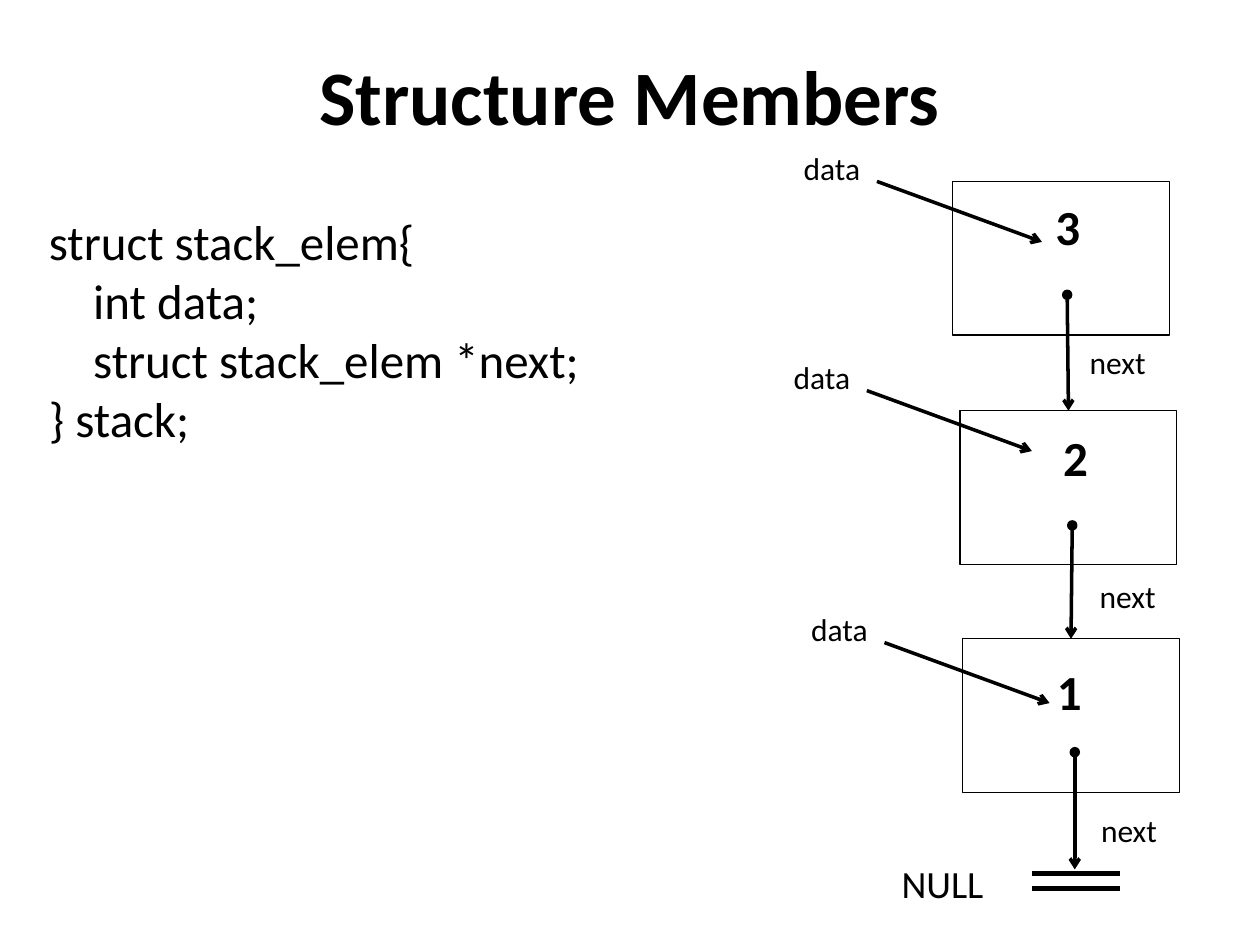
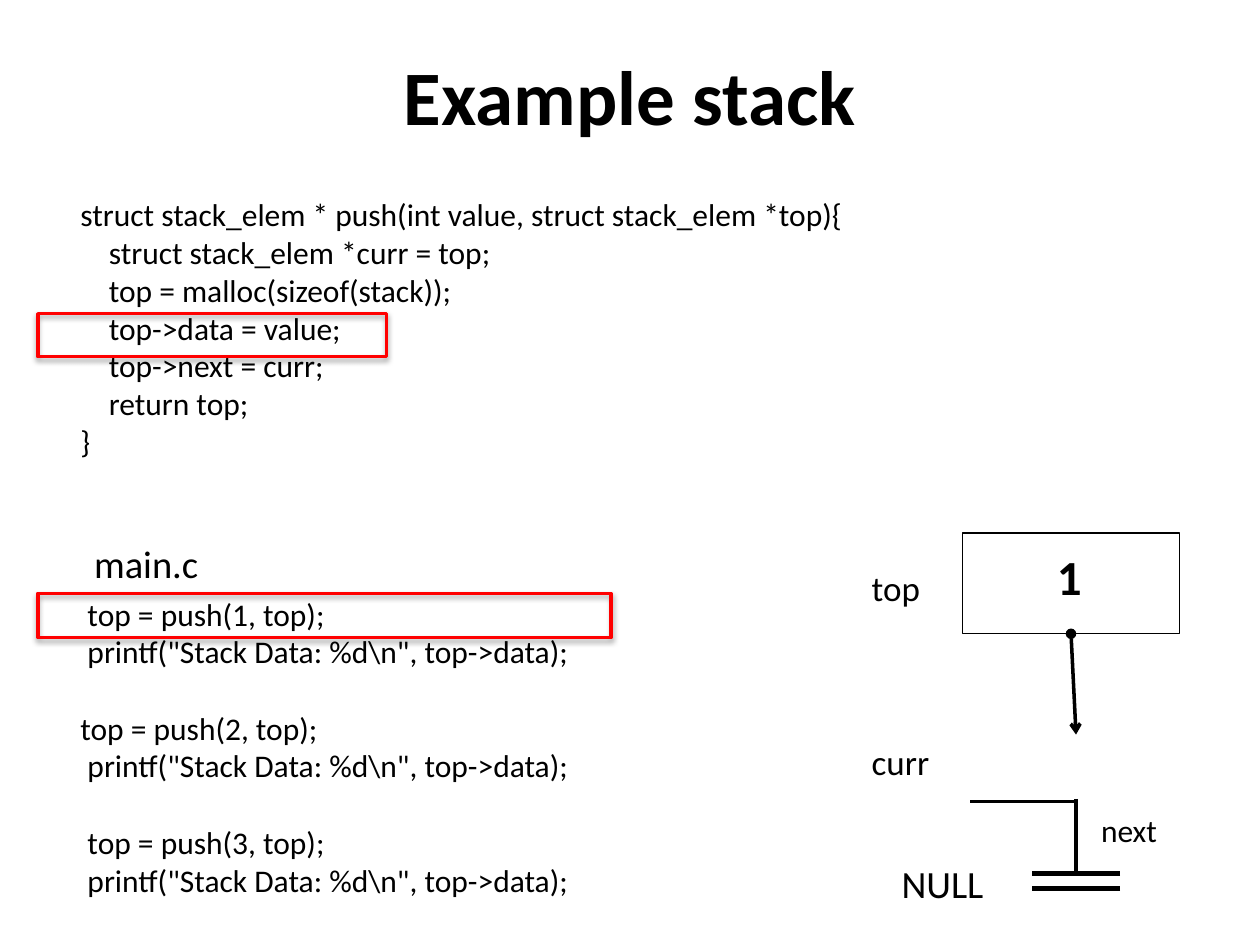
from lxml.etree import SubElement
from pptx import Presentation
from pptx.dml.color import RGBColor
from pptx.enum.shapes import MSO_CONNECTOR, MSO_SHAPE
from pptx.enum.text import MSO_ANCHOR, PP_ALIGN
from pptx.oxml.ns import qn
from pptx.util import Inches, Pt

BLACK = RGBColor(0, 0, 0)
WHITE = RGBColor(255, 255, 255)
RED = RGBColor(255, 0, 0)
FONT = "Calibri"
LEFT, MID = PP_ALIGN.LEFT, PP_ALIGN.CENTER

deck = Presentation()
deck.slide_width, deck.slide_height = Inches(10), Inches(7.5)
COL = deck.slide_width / 100
ROW = deck.slide_height / 75


def write(slide, x, y, w, h, lines, size, align=LEFT, bold=False, gaps=()):
    box = slide.shapes.add_textbox(int(x * COL), int(y * ROW), int(w * COL), int(h * ROW))
    frame = box.text_frame
    frame.word_wrap = True
    for i, line in enumerate(lines):
        para = frame.paragraphs[0] if i == 0 else frame.add_paragraph()
        para.alignment = align
        if i in gaps:
            para.space_before = Pt(22)
        run = para.add_run()
        run.text = line
        run.font.name, run.font.size, run.font.bold = FONT, Pt(size), bold
        run.font.color.rgb = BLACK
    return frame


def draw(slide, x1, y1, x2, y2, width=2, head=None, tail=None):
    link = slide.shapes.add_connector(
        MSO_CONNECTOR.STRAIGHT, int(x1 * COL), int(y1 * ROW), int(x2 * COL), int(y2 * ROW))
    link.line.color.rgb = BLACK
    link.line.width = Pt(width)
    props = link._element.spPr
    for tag, kind in (("a:headEnd", head), ("a:tailEnd", tail)):
        if kind:
            SubElement(props.find(qn("a:ln")), qn(tag), type=kind)
    SubElement(props, qn("a:effectLst"))
    return link


blank = deck.slide_layouts[6]
parts, stack = [deck.slides.add_slide(blank) for _ in range(2)]

for slide, title in ((parts, "Structure Members"), (stack, "Example stack")):
    frame = write(slide, 0, 2.4, 100, 10.2, [title], 44, MID, True)
    frame.vertical_anchor = MSO_ANCHOR.MIDDLE
    write(slide, 66.2, 67.8, 17.2, 4.7, ["NULL"], 22, MID)
    write(slide, 86.4, 63.9, 9.7, 4, ["next"], 18)
    for y in (69.3, 70.5):
        draw(slide, 88.9, y, 81.9, y, 3)

write(parts, 2.9, 16.3, 92.6, 29, [
    "struct stack_elem{",
    "    int data;",
    "    struct stack_elem *next;",
    "} stack;",
], 28)
write(stack, 5.4, 15, 67, 22.2, [
    "struct stack_elem * push(int value, struct stack_elem *top){",
    "    struct stack_elem *curr = top;",
    "    top = malloc(sizeof(stack));",
    "    top->data = value;",
    "    top->next = curr;",
    "    return top;",
    "}",
], 18)
show = ' printf("Stack Data: %d\\n", top->data);'
write(stack, 5.4, 46.7, 50, 28.3, [
    " top = push(1, top);", show,
    "top = push(2, top);", show,
    " top = push(3, top);", show,
], 18, gaps=(2, 4))
write(stack, 3, 42.4, 17.2, 4.7, ["main.c"], 22, MID)

nodes = []
for slide, x, y, h, num, nx, ny, nw in (
    (parts, 75.6, 14.4, 12.2, "3", 75.3, 15.1, 18.9),
    (parts, 76.2, 32.6, 12.2, "2", 75.9, 33.4, 18.9),
    (parts, 76.4, 50.7, 12.2, "1", 76.4, 52, 16.9),
    (stack, 76.4, 42.3, 8, "1", 76.4, 42.9, 16.9),
):
    node = slide.shapes.add_shape(
        MSO_SHAPE.RECTANGLE, int(x * COL), int(y * ROW), int(17.2 * COL), int(h * ROW))
    node.shadow.inherit = False
    node.fill.solid()
    node.fill.fore_color.rgb = WHITE
    node.line.color.rgb = BLACK
    node.line.width = Pt(0.75)
    nodes.append(node)
    write(slide, nx, ny, nw, 5.7, [num], 28, MID, True)

for x, y, goal in ((84.7, 23.4, nodes[1]), (85.1, 41.7, nodes[2])):
    link = draw(parts, x, y, x, y + 9.3, head="oval", tail="arrow")
    link.end_connect(goal, 0)
draw(parts, 85.3, 59.7, 85.3, 69, head="oval", tail="arrow")

for x, y in ((69.6, 14.4), (68.8, 31), (70.2, 51)):
    draw(parts, x, y, x + 13.1, y + 4.8, tail="arrow")
    write(parts, x - 6.8, y - 3.1, 9.7, 4, ["data"], 18)
for x, y in ((85.5, 26.7), (86.3, 45.3)):
    write(parts, x, y, 9.7, 4, ["next"], 18)

for y, name in ((44.5, "top"), (58.3, "curr")):
    write(stack, 68.2, y, 9.7, 4.4, [name], 20)
link = draw(stack, 85.3, 50.3, 85.4, 58.3, head="oval", tail="arrow")
link.begin_connect(nodes[3], 2)
draw(stack, 85.4, 63.4, 85.4, 69.3)
draw(stack, 85.4, 63.6, 77, 63.6)

for y, w, h in ((24.9, 27.7, 3.4), (47.1, 45.5, 3.5)):
    mark = stack.shapes.add_shape(
        MSO_SHAPE.RECTANGLE, int(3 * COL), int(y * ROW), int(w * COL), int(h * ROW))
    mark.shadow.inherit = False
    mark.fill.background()
    mark.line.color.rgb = RED
    mark.line.width = Pt(2)
    glow = SubElement(
        mark._element.spPr.find(qn("a:effectLst")), qn("a:outerShdw"),
        blurRad=str(Pt(3.1)), dist=str(Pt(1.8)), dir="5400000", rotWithShape="0")
    tint = SubElement(glow, qn("a:srgbClr"), val=str(BLACK))
    SubElement(tint, qn("a:alpha"), val="35000")

deck.save("out.pptx")
